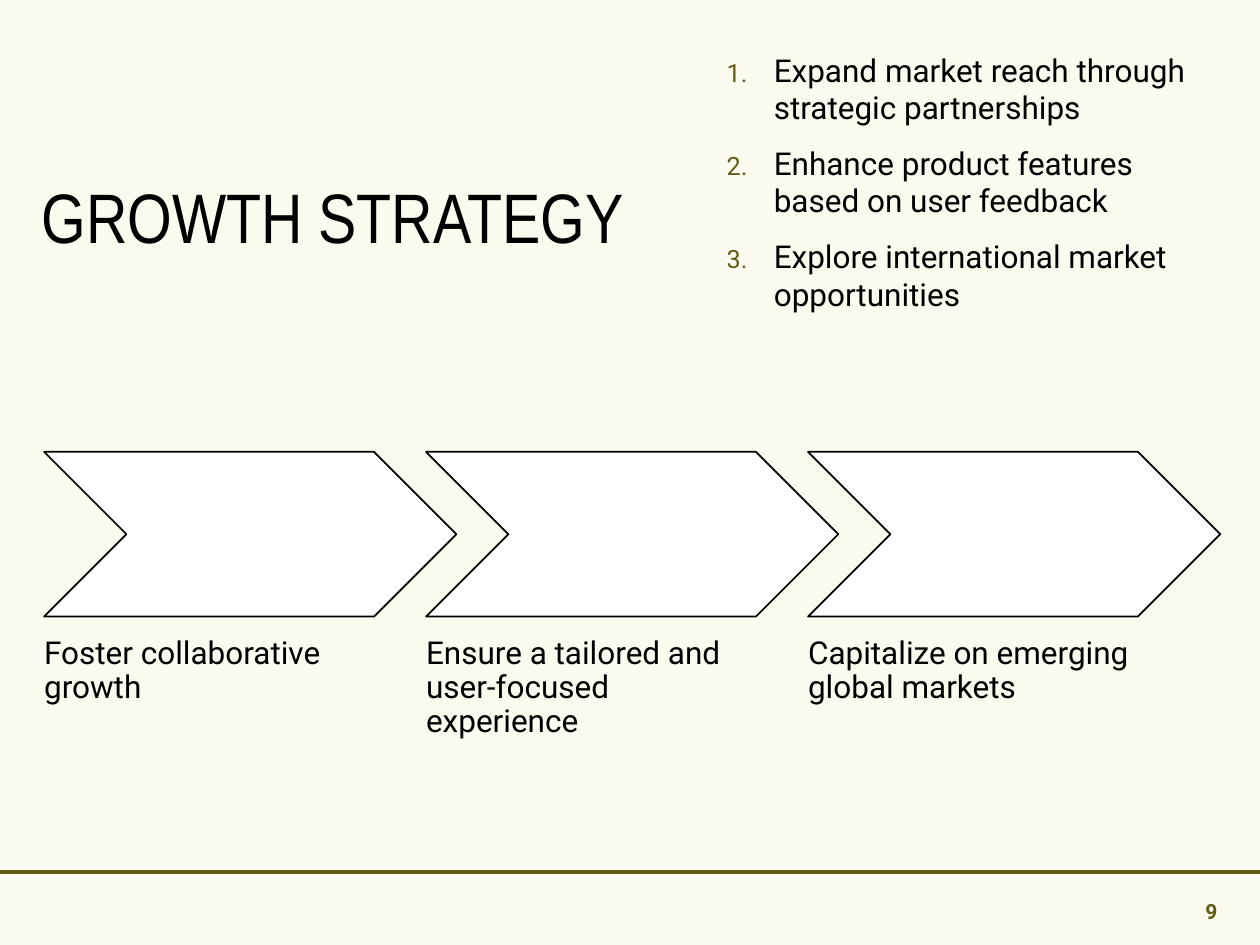
from lxml import etree
from pptx import Presentation
from pptx.dml.color import RGBColor
from pptx.enum.shapes import MSO_CONNECTOR, MSO_SHAPE
from pptx.enum.text import MSO_ANCHOR, PP_ALIGN
from pptx.oxml.ns import qn
from pptx.util import Cm, Pt

CHEVRON = MSO_SHAPE.CHEVRON
STRAIGHT = MSO_CONNECTOR.STRAIGHT
TOP, MIDDLE, BOTTOM = MSO_ANCHOR.TOP, MSO_ANCHOR.MIDDLE, MSO_ANCHOR.BOTTOM
RIGHT = PP_ALIGN.RIGHT
OLIVE, BLACK, WHITE, CREAM = "635D17", "000000", "FFFFFF", "FBFAEE"


def rgb(value):
    return RGBColor.from_string(value)


def add_text(s, box, lines, size, font="Roboto", color=BLACK, anchor=TOP, inset=(0, 0), numbered=False):
    sp = s.shapes.add_textbox(*[Cm(v) for v in box])
    tf = sp.text_frame
    tf.word_wrap = True
    tf.vertical_anchor = anchor
    tf.margin_left = tf.margin_right = Cm(inset[0])
    tf.margin_top = tf.margin_bottom = Cm(inset[1])
    tf.text = "\n".join(lines)
    for p in tf.paragraphs:
        if numbered:
            pPr = p._p.get_or_add_pPr()
            pPr.set("marL", str(Cm(0.95)))
            pPr.set("indent", str(-Cm(0.95)))
            clr = etree.SubElement(pPr, qn("a:buClr"))
            etree.SubElement(clr, qn("a:srgbClr"), val=OLIVE)
            etree.SubElement(pPr, qn("a:buSzPct"), val="80000")
            etree.SubElement(pPr, qn("a:buFont"), typeface="+mj-lt")
            etree.SubElement(pPr, qn("a:buAutoNum"), type="arabicPeriod")
            p.space_after = Pt(10)
        for r in p.runs:
            r.font.size = Pt(size)
            r.font.name = font
            r.font.color.rgb = rgb(color)
    return tf


prs = Presentation()
prs.slide_width, prs.slide_height = Cm(25.4), Cm(19.05)
s = prs.slides.add_slide(prs.slide_layouts[6])
s.background.fill.solid()
s.background.fill.fore_color.rgb = rgb(CREAM)

rule = s.shapes.add_connector(STRAIGHT, Cm(0), Cm(17.57), Cm(25.4), Cm(17.57))
rule.line.color.rgb = rgb(OLIVE)
rule.line.width = Pt(2.25)
etree.SubElement(rule._element.spPr, qn("a:effectLst"))

tf = add_text(s, (0.84, 0.89, 12.7, 7.11), ["GROWTH STRATEGY"], 40, "Arial Narrow", anchor=MIDDLE)
tf.paragraphs[0].line_spacing = Pt(42)

goals = [
    "Expand market reach through strategic partnerships",
    "Enhance product features based on user feedback",
    "Explore international market opportunities",
]
add_text(s, (14.4, 0.89, 10.16, 7.11), goals, 18, inset=(0.25, 0.13), numbered=True)

steps = [
    "Foster collaborative growth",
    "Ensure a tailored and user-focused experience",
    "Capitalize on emerging global markets",
]
for i, step in enumerate(steps):
    left = 0.89 + i * 7.7
    sp = s.shapes.add_shape(CHEVRON, Cm(left), Cm(9.11), Cm(8.31), Cm(3.32))
    sp.shadow.inherit = False
    sp.fill.solid()
    sp.fill.fore_color.rgb = rgb(WHITE)
    sp.line.color.rgb = rgb(BLACK)
    sp.line.width = Pt(1)
    tf = add_text(s, (left, 12.85, 6.63, 3.25), [step], 18)
    tf.paragraphs[0].line_spacing = 0.9

tf = add_text(s, (18.62, 17.86, 5.92, 0.76), ["9"], 12, color=OLIVE, anchor=BOTTOM)
p = tf.paragraphs[0]
p.alignment = RIGHT
p.runs[0].font.bold = True

prs.save("out.pptx")
